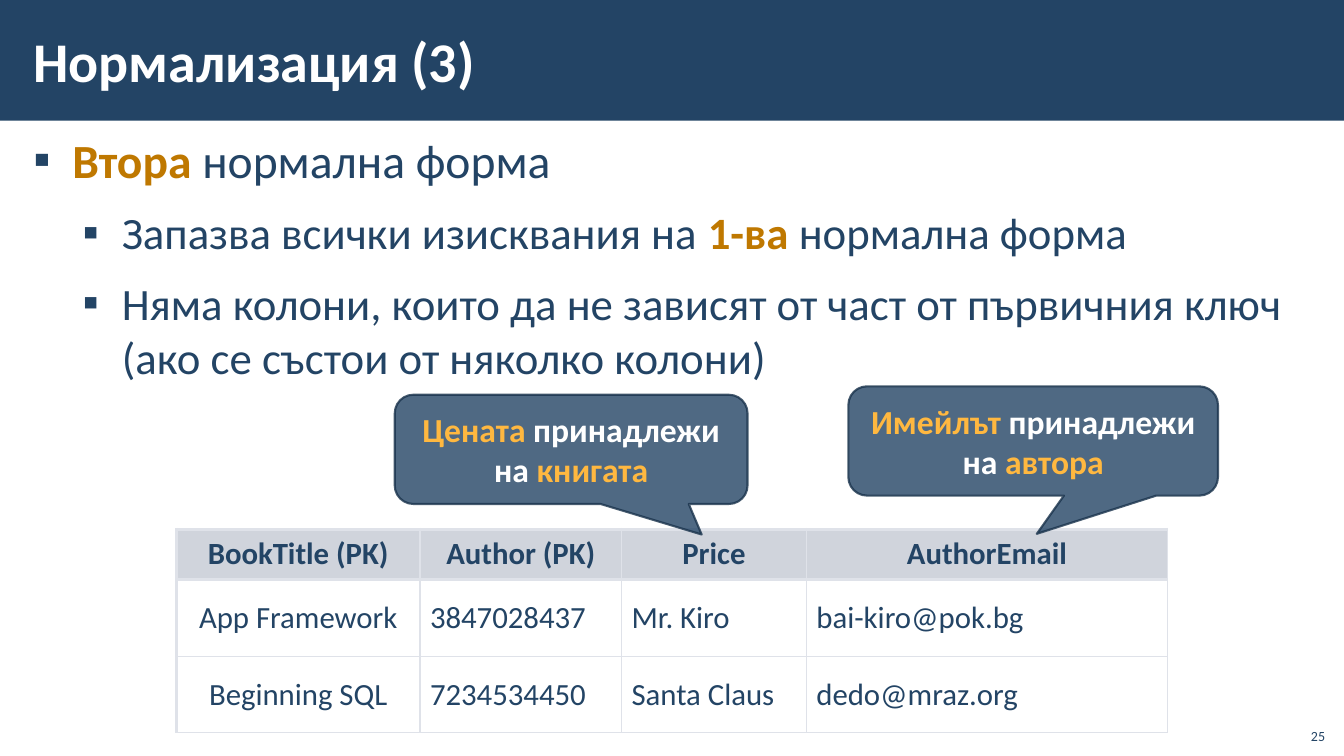
"""Build the slide on the second normal form."""
from dataclasses import dataclass

from lxml.etree import SubElement as Sub
from pptx import Presentation
from pptx.dml.color import RGBColor as Rgb
from pptx.enum.shapes import MSO_SHAPE as Shape
from pptx.enum.text import MSO_ANCHOR as Anchor, MSO_AUTO_SIZE as Fit, PP_ALIGN as Align
from pptx.oxml.ns import qn
from pptx.util import Emu, Pt

SCALE = 9525
FONT = "Calibri"
NAVY, WHITE, GOLD, AMBER = "234465", "FFFFFF", "BF7800", "FFB840"
HEAD, EDGE, RIM = "D0D4DC", "DFE2E9", "1A334C"


@dataclass
class Run:
    text: str
    color: str = NAVY
    bold: bool = False


@dataclass
class Point:
    size: int
    left: int
    runs: list[Run]


@dataclass
class Callout:
    box: tuple[int, int, int, int]
    tip: tuple[float, float]
    runs: list[Run]


POINTS = [
    Point(34, 37, [Run("Втора ", GOLD, True), Run("нормална форма")]),
    Point(32, 84, [Run("Запазва всички изисквания на "), Run("1-ва ", GOLD, True),
                   Run("нормална форма")]),
    Point(32, 84, [Run("Няма колони, които да не зависят от част от първичния ключ "
                       "(ако се състои от няколко колони)")]),
]
CALLOUTS = [
    Callout((376, 376, 336, 104), (0.37, 0.78),
            [Run("Цената", AMBER, True), Run(" принадлежи на ", WHITE, True),
             Run("книгата", AMBER, True)]),
    Callout((808, 368, 352, 104), (0.01, 0.85),
            [Run("Имейлът ", AMBER, True), Run("принадлежи на ", WHITE, True),
             Run("автора", AMBER, True)]),
]
COLS = [232, 192, 176, 344]
ROWS = [48, 73, 73]
BOOKS = [
    ["BookTitle (PK)", "Author (PK)", "Price", "AuthorEmail"],
    ["App Framework", "3847028437", "Mr. Kiro", "bai-kiro@pok.bg"],
    ["Beginning SQL", "7234534450", "Santa Claus", "dedo@mraz.org"],
]


def px(num: int) -> Emu:
    """Turn pixels into EMU."""
    return Emu(num * SCALE)


def tint(part, color: str) -> None:
    """Give a fill one solid colour."""
    part.solid()
    part.fore_color.rgb = Rgb.from_string(color)


def write(para, runs: list[Run], size: int, align=Align.LEFT) -> None:
    """Add the runs to a paragraph."""
    para.alignment = align
    for item in runs:
        run = para.add_run()
        run.text = item.text
        run.font.name, run.font.size, run.font.bold = FONT, Pt(size), item.bold
        tint(run.font.fill, item.color)


def frame(shape, side: int, edge: int, anchor):
    """Set up the text frame of a shape."""
    text = shape.text_frame
    text.word_wrap, text.auto_size = True, Fit.NONE
    text.margin_left = text.margin_right = px(side)
    text.margin_top = text.margin_bottom = px(edge)
    text.vertical_anchor = anchor
    return text


def draw_title(slide) -> None:
    """Place the title on its bar."""
    title = slide.shapes.title
    bar = slide.shapes.add_shape(Shape.RECTANGLE, 0, 0, px(1280), px(115))
    bar.shadow.inherit = False
    tint(bar.fill, NAVY)
    bar.line.fill.background()
    title._element.addprevious(bar._element)
    title.left, title.top, title.width, title.height = map(px, (20, 11, 1078, 93))
    text = frame(title, 12, 4, Anchor.MIDDLE)
    write(text.paragraphs[0], [Run("Нормализация (3)", WHITE, True)], 40)


def draw_points(slide) -> None:
    """Write the bullet list."""
    box = slide.shapes.add_textbox(*map(px, (20, 121, 1239, 606)))
    text = frame(box, 12, 4, Anchor.TOP)
    for num, point in enumerate(POINTS):
        para = text.add_paragraph() if num else text.paragraphs[0]
        prop = para._p.get_or_add_pPr()
        prop.set("marL", str(px(point.left)))
        prop.set("indent", str(px(-37)))
        tone = Sub(prop, qn("a:buClr"))
        Sub(tone, qn("a:srgbClr"), val=NAVY)
        Sub(prop, qn("a:buFont"), typeface=FONT)
        Sub(prop, qn("a:buChar"), char="▪")
        para.space_before, para.space_after = Pt(6 if num else 0), Pt(6)
        write(para, point.runs, point.size)


def draw_edge(cell, side: str, width: float) -> None:
    """Draw one border of a cell."""
    line = Sub(cell._tc.get_or_add_tcPr(), qn(f"a:ln{side}"), w=str(Pt(width)))
    fill = Sub(line, qn("a:solidFill"))
    Sub(fill, qn("a:srgbClr"), val=EDGE)


def draw_table(slide) -> None:
    """Draw the table of books."""
    grid = slide.shapes.add_table(len(ROWS), len(COLS), px(168), px(504),
                                  px(sum(COLS)), px(sum(ROWS))).table
    grid.first_row = grid.horz_banding = False
    for col, width in zip(grid.columns, COLS):
        col.width = px(width)
    for row, height in zip(grid.rows, ROWS):
        row.height = px(height)
    for y, names in enumerate(BOOKS):
        for x, name in enumerate(names):
            cell, top = grid.cell(y, x), y == 0
            cell.vertical_anchor = Anchor.MIDDLE
            thick = {"L": x == 0, "R": False, "T": y < 2, "B": top}
            for side, wide in thick.items():
                draw_edge(cell, side, 2.25 if wide else 1)
            tint(cell.fill, HEAD if top else WHITE)
            write(cell.text_frame.paragraphs[0], [Run(name, NAVY, top)], 22,
                  Align.CENTER if top or x == 0 else Align.LEFT)


def draw_callout(slide, note: Callout) -> None:
    """Draw one see-through callout."""
    shape = slide.shapes.add_shape(Shape.ROUNDED_RECTANGULAR_CALLOUT, *map(px, note.box))
    shape.shadow.inherit = False
    for num, value in enumerate((*note.tip, 0.17)):
        shape.adjustments[num] = value
    tint(shape.fill, NAVY)
    tint(shape.line.fill, RIM)
    shape.line.width = Pt(1.5)
    for tone in shape._element.spPr.iter(qn("a:srgbClr")):
        Sub(tone, qn("a:alpha"), val="80000")
    text = frame(shape, 10, 5, Anchor.MIDDLE)
    write(text.paragraphs[0], note.runs, 24, Align.CENTER)


def draw_page(slide) -> None:
    """Write the page number."""
    box = slide.shapes.add_textbox(*map(px, (1234, 684, 38, 30)))
    text = frame(box, 10, 5, Anchor.BOTTOM)
    write(text.paragraphs[0], [Run("25")], 10, Align.RIGHT)


def main() -> None:
    """Build and save the deck."""
    deck = Presentation()
    deck.slide_width, deck.slide_height = px(1280), px(720)
    slide = deck.slides.add_slide(deck.slide_layouts[5])
    draw_title(slide)
    draw_points(slide)
    draw_table(slide)
    for note in CALLOUTS:
        draw_callout(slide, note)
    draw_page(slide)
    deck.save("out.pptx")


if __name__ == "__main__":
    main()
